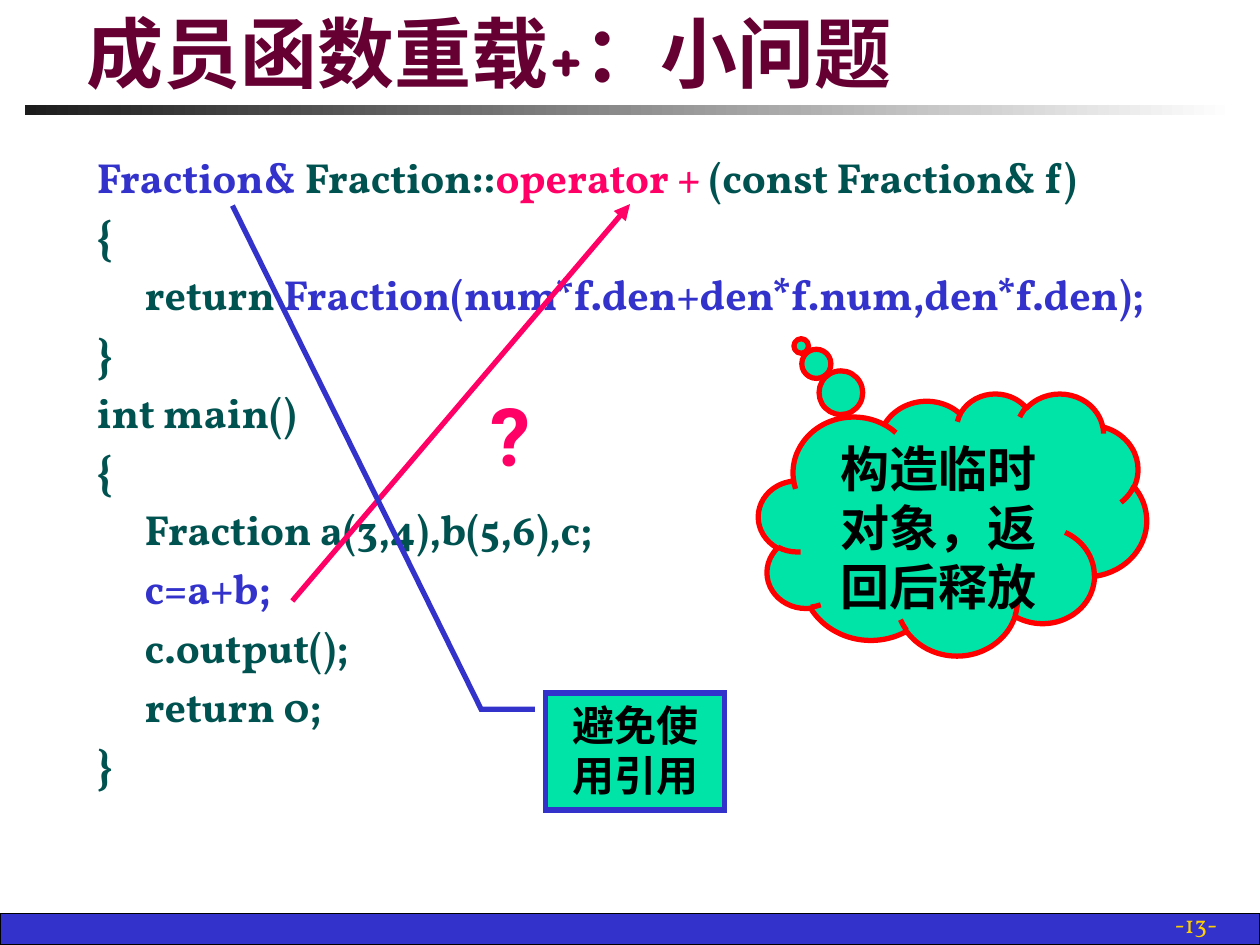
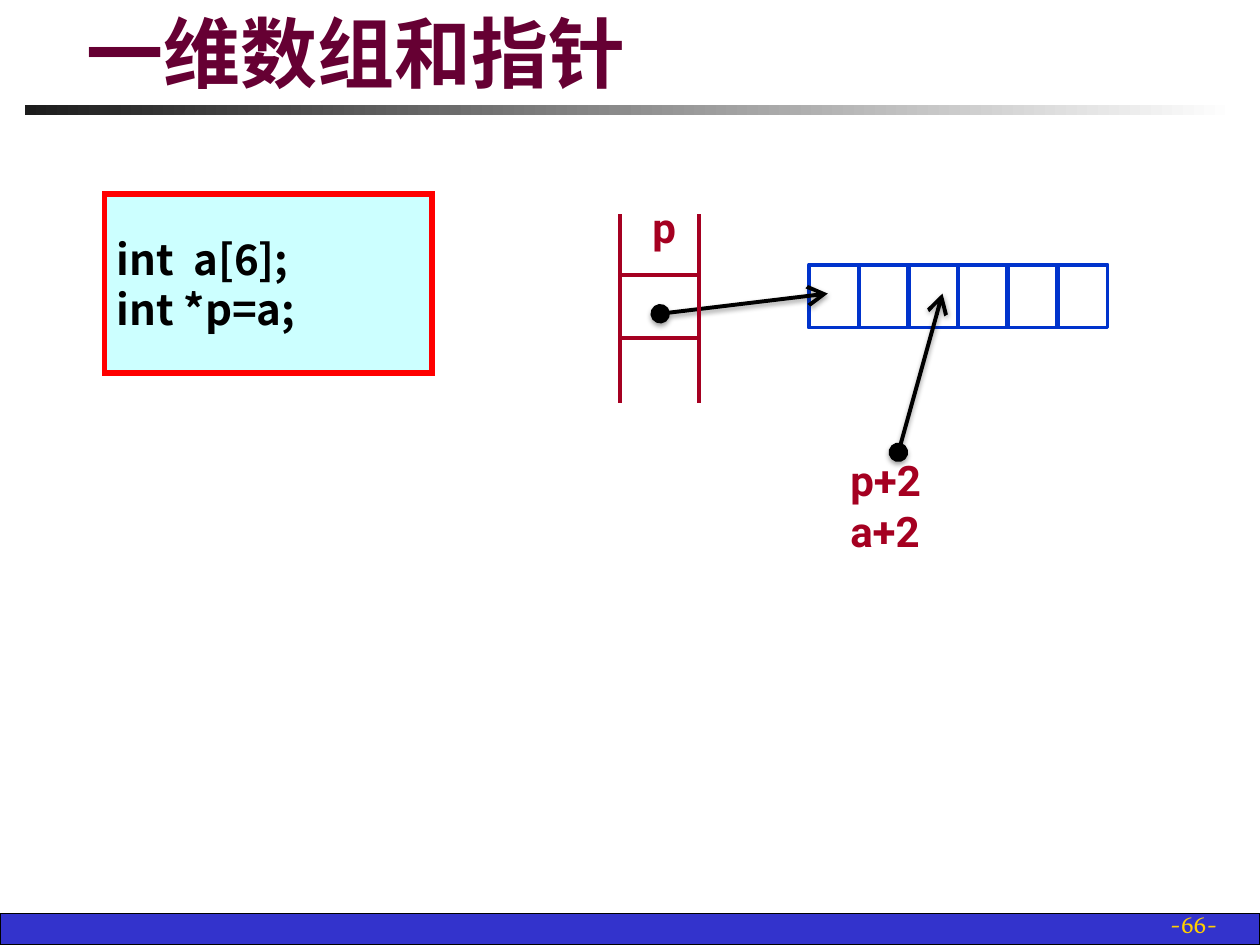
from lxml.etree import SubElement
from pptx import Presentation
from pptx.dml.color import RGBColor
from pptx.enum.shapes import MSO_CONNECTOR, MSO_SHAPE
from pptx.enum.text import MSO_ANCHOR, PP_ALIGN
from pptx.oxml.ns import qn
from pptx.util import Inches, Pt

COLORS = {
    "black": "000000", "white": "FFFFFF", "charcoal": "1C1C1C",
    "blue": "3333CC", "cell": "0033CC", "yellow": "FFCF01",
    "title": "660033", "code": "005250", "pink": "FF0066",
    "red": "FF0000", "green": "00E4A8", "cyan": "CCFFFF", "wine": "A50021",
}


def rgb(name):
    return RGBColor.from_string(COLORS[name])


def write(tf, paragraphs, size=24, font="Roboto", color="black", bold=True,
          align=PP_ALIGN.LEFT, anchor=MSO_ANCHOR.TOP, wrap=True,
          gap=0, indent=0.38):
    tf.word_wrap = wrap
    tf.vertical_anchor = anchor
    for i, paragraph in enumerate(paragraphs):
        p = tf.paragraphs[0] if i == 0 else tf.add_paragraph()
        p.alignment = align
        p.space_before = Pt(gap if i else 0)
        runs = [(paragraph, color)] if isinstance(paragraph, str) else paragraph
        if runs[0][0].startswith("\t"):
            p._p.get_or_add_pPr().set("marL", str(Inches(indent)))
        for text, run_color in runs:
            r = p.add_run()
            r.text = text.lstrip("\t")
            r.font.size = Pt(size)
            r.font.name = font
            r.font.bold = bold
            r.font.color.rgb = rgb(run_color)
            SubElement(r._r.get_or_add_rPr(), qn("a:ea"), typeface=font)


class Deck:
    def __init__(self):
        self.prs = Presentation()
        self.prs.slide_width = Inches(10)
        self.prs.slide_height = Inches(7.5)
        self.s = None

    def slide(self, title, number):
        self.s = self.prs.slides.add_slide(self.prs.slide_layouts[6])
        self.s.background.fill.solid()
        self.s.background.fill.fore_color.rgb = rgb("white")
        self.shape((0, 7.25, 10, 0.25), fill="blue", line="black", width=0.75)
        rule = self.shape((0.2, 0.83, 9.61, 0.08))
        rule.fill.gradient()
        rule.fill.gradient_angle = 0
        ends = zip(rule.fill.gradient_stops, ("charcoal", "white"), (0, 1))
        for stop, color, position in ends:
            stop.color.rgb = rgb(color)
            stop.position = position
        self.text((7.68, 7.17, 2.08, 0.33), [f"-{number}-"], size=14,
                  font="Vollkorn", color="yellow", bold=False,
                  align=PP_ALIGN.RIGHT, anchor=MSO_ANCHOR.BOTTOM)
        self.text((0.59, 0.12, 8.72, 0.71), [title], size=44,
                  font="Comic Neue", color="title", anchor=MSO_ANCHOR.BOTTOM)

    def shape(self, box, kind=MSO_SHAPE.RECTANGLE, fill=None, line=None,
              width=3, adjust=(), sharp=False):
        sp = self.s.shapes.add_shape(kind, *map(Inches, box))
        sp.shadow.inherit = False
        for i, value in enumerate(adjust):
            sp.adjustments[i] = value
        if fill:
            sp.fill.solid()
            sp.fill.fore_color.rgb = rgb(fill)
        else:
            sp.fill.background()
        if line:
            sp.line.color.rgb = rgb(line)
            sp.line.width = Pt(width)
        else:
            sp.line.fill.background()
        if sharp:
            SubElement(sp.line._get_or_add_ln(), qn("a:miter"), lim="800000")
        return sp

    def text(self, box, paragraphs, **fmt):
        sp = self.s.shapes.add_textbox(*map(Inches, box))
        write(sp.text_frame, paragraphs, **fmt)

    def line(self, start, end, color, width=2.25, head=None, tail=None,
             end_size="med", shadow=False):
        cxn = self.s.shapes.add_connector(
            MSO_CONNECTOR.STRAIGHT, *map(Inches, start + end))
        cxn.line.color.rgb = rgb(color)
        cxn.line.width = Pt(width)
        ln = cxn.line._get_or_add_ln()
        for tag, kind in (("a:headEnd", head), ("a:tailEnd", tail)):
            if kind:
                SubElement(ln, qn(tag), type=kind, w=end_size, len=end_size)
        effects = SubElement(cxn._element.spPr, qn("a:effectLst"))
        if shadow:
            outer = SubElement(effects, qn("a:outerShdw"),
                               blurRad=str(Pt(3.1)), dist=str(Pt(1.6)),
                               dir="5400000", rotWithShape="0")
            black = SubElement(outer, qn("a:srgbClr"), val=COLORS["black"])
            SubElement(black, qn("a:alpha"), val="38000")

    def pointer(self, start, end):
        self.line(start, end, "black", head="oval", tail="arrow",
                  end_size="lg", shadow=True)

    def callout(self, box, kind, adjust, line, text, size, sharp=False):
        sp = self.shape(box, kind, "green", line, adjust=adjust, sharp=sharp)
        write(sp.text_frame, [text], size=size, align=PP_ALIGN.CENTER)


def operator_slide(deck):
    deck.slide("成员函数重载+：小问题", 13)
    deck.text((0.67, 1.15, 9.08, 5.5), [
        [("Fraction&", "blue"), (" Fraction::", "code"),
         ("operator +", "pink"), (" (const Fraction& f)", "code")],
        "{",
        [("\treturn ", "code"),
         ("Fraction(num*f.den+den*f.num,den*f.den);", "blue")],
        "}",
        "int main()",
        "{",
        "\tFraction a(3,4),b(5,6),c;",
        [("\tc=a+b;", "blue")],
        "\tc.output();",
        "\treturn 0;",
        "}",
    ], font="Vollkorn", color="code", gap=4.8)
    deck.callout((6.02, 3.12, 3.08, 2.08), MSO_SHAPE.CLOUD_CALLOUT,
                 (-0.39, -0.68), "red", "构造临时对象，返回后释放", 28)
    deck.line((2.32, 4.77), (5, 1.62), "pink", width=3, tail="triangle")
    deck.text((3.61, 2.63, 0.89, 1.64), ["?"], size=46, color="pink",
              align=PP_ALIGN.CENTER, anchor=MSO_ANCHOR.MIDDLE, wrap=False)
    deck.callout((4.33, 5.5, 1.42, 0.93), MSO_SHAPE.LINE_CALLOUT_2,
                 (0.14, -0.06, 0.14, -0.36, -4.16, -1.75), "blue",
                 "避免使用引用", 24, sharp=True)


def pointer_slide(deck):
    deck.slide("一维数组和指针", 66)
    code = deck.shape((0.83, 1.54, 2.6, 1.42), fill="cyan", line="red",
                      sharp=True)
    write(code.text_frame, ["int  a[6];", "int *p=a;"],
          font="Noto Sans CJK SC", anchor=MSO_ANCHOR.MIDDLE, wrap=False)

    first, last, count = 6.42, 8.39, 6
    step = (last - first) / (count - 1)
    for i in range(count):
        deck.shape((first + i * step, 2.1, 0.4, 0.5), line="cell", width=2.25)

    deck.pointer((5.24, 2.49), (6.57, 2.33))
    left, width = 4.92, 0.63
    deck.shape((left, 2.18, width, 0.5), line="wine", width=2.25)
    for x in (left, left + width):
        deck.line((x, 1.7), (x, 3.2), "wine")
    deck.text((5.08, 1.55, 0.31, 0.5), ["p"], color="wine")

    deck.pointer((7.13, 3.59), (7.48, 2.33))
    deck.text((6.65, 3.56, 0.94, 0.91), ["p+2", "a+2"], color="wine")


def main():
    deck = Deck()
    operator_slide(deck)
    pointer_slide(deck)
    deck.prs.save("out.pptx")


if __name__ == "__main__":
    main()
